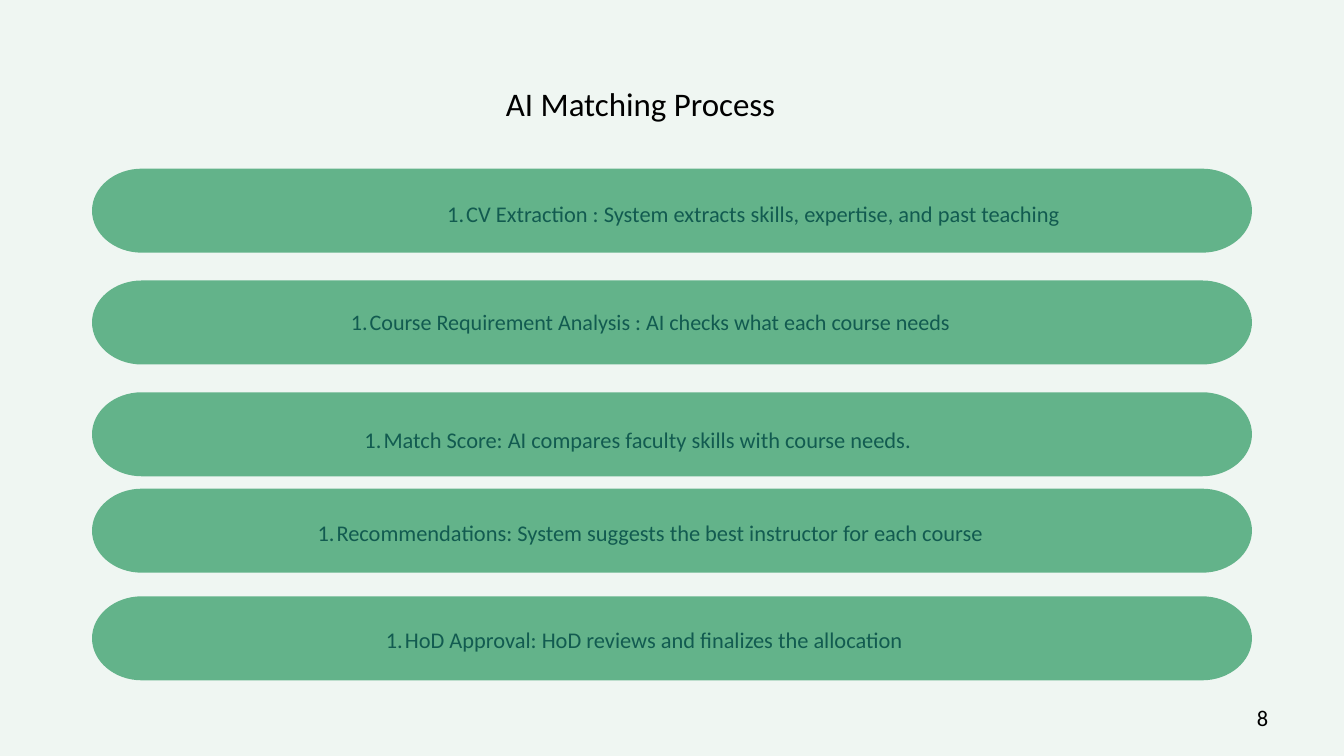
from lxml.etree import SubElement
from pptx import Presentation
from pptx.dml.color import RGBColor
from pptx.enum.text import MSO_AUTO_SIZE as AutoSize, PP_ALIGN as Align
from pptx.oxml.ns import qn
from pptx.util import Pt

COLORS = {"page": "EFF6F2", "bar": "63B38A", "step": "125B50", "ink": "000000"}
FONT = "Calibri"
BAR_LEFT, BAR_WIDTH, BAR_HEIGHT, CAP_WIDTH = 98.6, 1242.8, 90, 53.3
STEP_LEFT = 117.2
ROUNDNESS = 0.55  # Bezier handle length for a quarter ellipse

# bar top, text top, text width, text size, wording
STEPS = [
    (180.7, 209.9, 1359.4, 24,
     "CV Extraction : System extracts skills, expertise, and past teaching"),
    (300.5, 325.8, 1139, 23.7,
     "Course Requirement Analysis : AI checks what each course needs"),
    (420.3, 452.2, 1111.7, 24,
     "Match Score: AI compares faculty skills with course needs."),
    (523.6, 551.2, 1138.3, 24,
     "Recommendations: System suggests the best instructor for each course"),
    (638.9, 666, 1125.4, 24,
     "HoD Approval: HoD reviews and finalizes the allocation"),
]


def rgb(name):
    return RGBColor.from_string(COLORS[name])


def toward(start, corner):
    return tuple(round(a + ROUNDNESS * (b - a)) for a, b in zip(start, corner))


def round_ends(bar):
    """Turn the slanted segments of the outline into quarter ellipses."""
    outline = bar._element
    first = next(outline.iter(qn("a:moveTo")))[0]
    start = int(first.get("x")), int(first.get("y"))
    on_tip = False
    for segment in list(outline.iter(qn("a:lnTo"))):
        end = int(segment[0].get("x")), int(segment[0].get("y"))
        if start[0] != end[0] and start[1] != end[1]:
            corner = (start[0], end[1]) if on_tip else (end[0], start[1])
            on_tip = not on_tip
            segment.remove(segment[0])
            segment.tag = qn("a:cubicBezTo")
            for x, y in (toward(start, corner), toward(end, corner), end):
                SubElement(segment, qn("a:pt"), x=str(x), y=str(y))
        start = end


def add_bar(page, top):
    right, middle, bottom = BAR_LEFT + BAR_WIDTH, top + BAR_HEIGHT / 2, top + BAR_HEIGHT
    inner_left, inner_right = BAR_LEFT + CAP_WIDTH, right - CAP_WIDTH
    corners = [(inner_right, top), (right, middle), (inner_right, bottom),
               (inner_left, bottom), (BAR_LEFT, middle), (inner_left, top)]
    points = [(Pt(x), Pt(y)) for x, y in corners]
    builder = page.shapes.build_freeform(*points[0])
    builder.add_line_segments(points[1:], close=True)
    bar = builder.convert_to_shape()
    round_ends(bar)
    bar.shadow.inherit = False
    bar.fill.solid()
    bar.fill.fore_color.rgb = rgb("bar")
    bar.line.fill.background()


def add_text(page, text, left, top, width, height, size, spacing, color="ink", align=Align.CENTER):
    box = page.shapes.add_textbox(Pt(left), Pt(top), Pt(width), Pt(height))
    frame = box.text_frame
    frame.word_wrap = True
    frame.auto_size = AutoSize.SHAPE_TO_FIT_TEXT
    frame.margin_left = frame.margin_top = frame.margin_right = frame.margin_bottom = 0
    frame.text = text
    para = frame.paragraphs[0]
    para.alignment = align
    para.line_spacing = Pt(spacing)
    font = para.runs[0].font
    font.name, font.size = FONT, Pt(size)
    font.color.rgb = rgb(color)
    return para


def number_paragraph(para, size):
    para.level = 1
    properties = para._p.get_or_add_pPr()
    properties.set("marL", str(Pt(size * 1.7)))
    properties.set("indent", str(Pt(size * -0.85)))
    SubElement(properties, qn("a:buAutoNum"), type="arabicPeriod")


def add_step(page, bar_top, text_top, width, size, text):
    add_bar(page, bar_top)
    para = add_text(page, text, STEP_LEFT, text_top, width, 32, size, size * 1.4, "step")
    number_paragraph(para, size)


def main():
    deck = Presentation()
    deck.slide_width, deck.slide_height = Pt(1440), Pt(810)
    page = deck.slides.add_slide(deck.slide_layouts[6])
    page.background.fill.solid()
    page.background.fill.fore_color.rgb = rgb("page")

    add_text(page, "AI Matching Process", 487.7, 82.8, 397.4, 47.5, 35.3, 49.5)
    for step in STEPS:
        add_step(page, *step)
    add_text(page, "8", 1109.8, 749.5, 249.1, 32, 24, 33.6, align=Align.RIGHT)
    deck.save("out.pptx")


if __name__ == "__main__":
    main()
